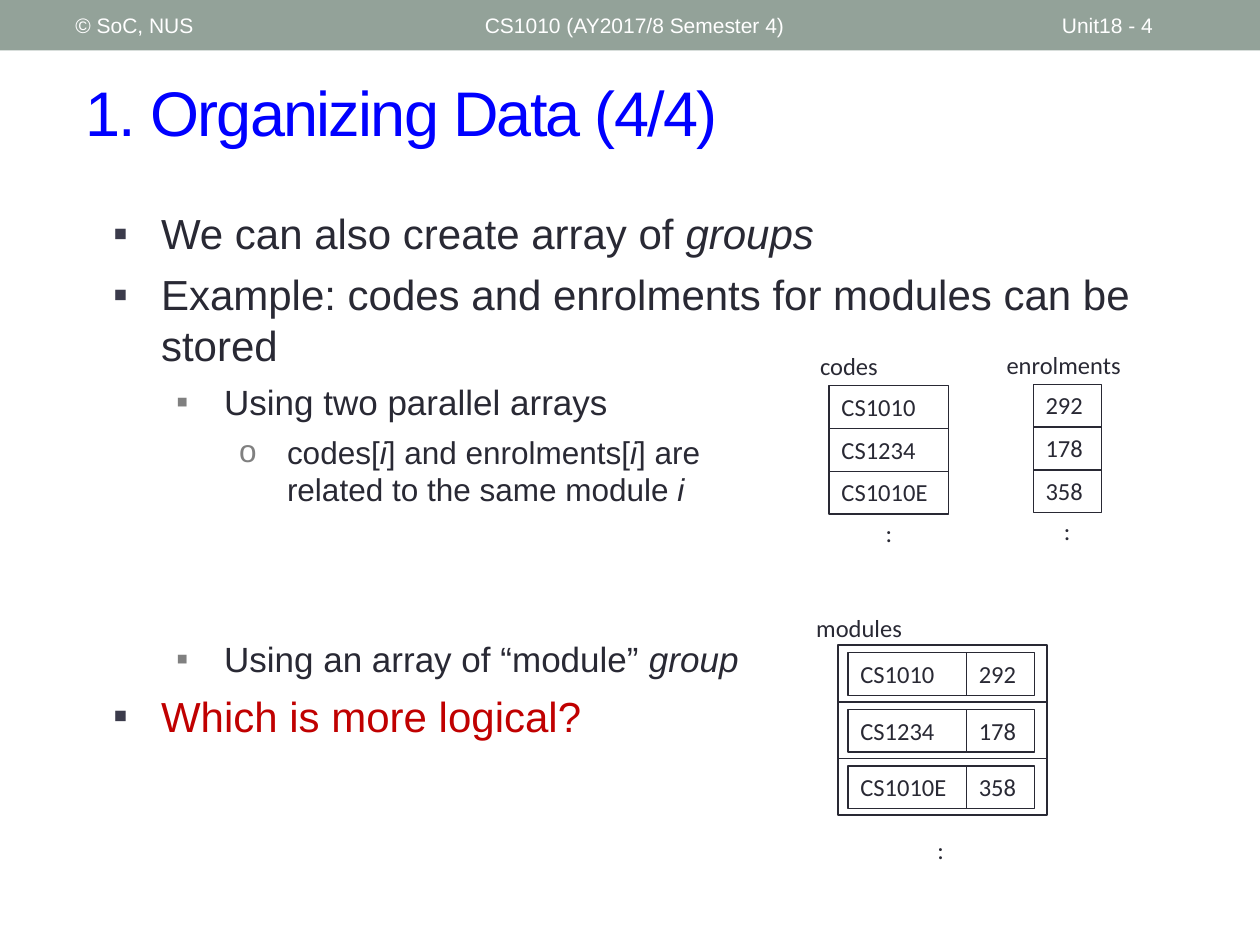
from lxml import etree
from pptx import Presentation
from pptx.dml.color import RGBColor
from pptx.enum.shapes import MSO_SHAPE
from pptx.enum.text import MSO_ANCHOR, PP_ALIGN
from pptx.oxml.ns import qn
from pptx.util import Inches, Pt

RECT = MSO_SHAPE.RECTANGLE
TOP, MIDDLE = MSO_ANCHOR.TOP, MSO_ANCHOR.MIDDLE
LEFT, CENTER = PP_ALIGN.LEFT, PP_ALIGN.CENTER
INK, BLUE, RED, SAGE, WHITE = "292934", "0000FF", "C00000", "93A299", "FFFFFF"
WIDE, HIGH = 10, 7.5
ROW = 0.34
CODES = ["CS1010", "CS1234", "CS1010E"]
COUNTS = ["292", "178", "358"]
MARKS = [("▪", "3B3B4B"), ("▪", "808080"), ("o", "808080")]
SIZES = [24, 20, 18]
POINTS = [
    (0, "We can also create array of *groups*", INK, 0),
    (0, "Example: codes and enrolments for modules can be stored", INK, 6),
    (1, "Using two parallel arrays", INK, 6),
    (2, "codes[*i*] and enrolments[*i*] are\vrelated to the same module *i*", INK, 6),
    (1, "Using an array of “module” *group*", INK, 74),
    (0, "Which is more logical?", RED, 6),
]


def color(code):
    """Turn a hex string into a colour."""
    return RGBColor.from_string(code)


def write(para, text, size=14, font="Calibri", ink=INK, align=LEFT, track=0):
    """Fill a paragraph, with text between asterisks in italics."""
    para.alignment = align
    for k, part in enumerate(text.split("*")):
        for n, piece in enumerate(part.split("\v")):
            if n:
                para.add_line_break()
            if not piece:
                continue
            run = para.add_run()
            run.text = piece
            run.font.size, run.font.name = Pt(size), font
            run.font.italic = k % 2 == 1
            run.font.color.rgb = color(ink)
            if track:
                run.font._element.set("spc", str(track * 100))


def label(shapes, box, text, anchor=TOP, **form):
    """Add a text box with one paragraph."""
    frame = shapes.add_textbox(*map(Inches, box)).text_frame
    frame.word_wrap, frame.vertical_anchor = True, anchor
    write(frame.paragraphs[0], text, **form)


def cell(shapes, box, text="", line=0.75):
    """Add an outlined box, with or without text."""
    shape = shapes.add_shape(RECT, *map(Inches, box))
    shape.shadow.inherit = False
    shape.fill.background()
    shape.line.color.rgb, shape.line.width = color(INK), Pt(line)
    frame = shape.text_frame
    frame.word_wrap, frame.vertical_anchor = True, TOP
    if text:
        write(frame.paragraphs[0], text)


def header(shapes, box):
    """Draw the top band and its three texts."""
    left, top, width, height = box
    band = shapes.add_shape(RECT, *map(Inches, box))
    band.shadow.inherit = False
    band.fill.solid()
    band.fill.fore_color.rgb = color(SAGE)
    band.line.fill.background()
    for text, start, span in [
        ("© SoC, NUS", 0.05, 0.32),
        ("CS1010 (AY2017/8 Semester 4)", 0.375, 0.45),
        ("Unit18 - 4", 0.833, 0.117),
    ]:
        place = (left + start * width, top + 0.05 * height, span * width, 0.9 * height)
        label(shapes, place, text, anchor=MIDDLE, size=12, font="Arial", ink=WHITE)


def bullet(para, level):
    """Give a paragraph the mark and indent of its level."""
    mark, ink = MARKS[level]
    props = para._p.get_or_add_pPr()
    props.set("marL", str(Inches(0.38 + 0.5 * level)))
    props.set("indent", str(Inches(-0.38)))
    tint = etree.SubElement(props, qn("a:buClr"))
    etree.SubElement(tint, qn("a:srgbClr"), val=ink)
    etree.SubElement(props, qn("a:buFont"), typeface="Arial")
    etree.SubElement(props, qn("a:buChar"), char=mark)


def body(shapes, box):
    """Write the bulleted points."""
    frame = shapes.add_textbox(*map(Inches, box)).text_frame
    frame.word_wrap = True
    for k, (level, text, ink, gap) in enumerate(POINTS):
        para = frame.add_paragraph() if k else frame.paragraphs[0]
        para.level = level
        bullet(para, level)
        para.space_before = Pt(gap)
        write(para, text, size=SIZES[level], font="Arial", ink=ink)


def array(shapes, box, name, items, shift, span):
    """Draw a named column of cells with a colon below."""
    left, top, width, height = box
    parts = shapes.add_group_shape().shapes
    label(parts, (left - shift, top - 0.32, span, ROW), name)
    for k, item in enumerate(items):
        cell(parts, (left, top + k * height, width, height), item)
    label(parts, (left, top + 3 * height - 0.02, width, ROW), ":", align=CENTER)


def modules(shapes, box):
    """Draw the array of code and enrolment pairs."""
    left, top, width, height = box
    parts = shapes.add_group_shape().shapes
    label(parts, (left - 0.27, top - 0.3, 1.23, ROW), "modules")
    for k, (code, count) in enumerate(zip(CODES, COUNTS)):
        y = top + k * height
        cell(parts, (left + 0.08, y + 0.06, 0.94, ROW), code)
        cell(parts, (left + 1.02, y + 0.06, 0.54, ROW), count)
        cell(parts, (left, y, width, height), line=1)
    label(parts, (left + 0.08, top + 1.46, 1.47, ROW), ":", align=CENTER)


def main():
    """Build and save the slide."""
    deck = Presentation()
    deck.slide_width, deck.slide_height = Inches(WIDE), Inches(HIGH)
    shapes = deck.slides.add_slide(deck.slide_layouts[6]).shapes
    header(shapes, (0, 0, WIDE, 0.4))
    label(shapes, (0.58, 0.42, 9.17, 0.92), "1. Organizing Data (4/4)",
          anchor=MIDDLE, size=36, font="Arial", ink=BLUE, track=-1)
    body(shapes, (0.8, 1.6, 8.57, 5.13))
    array(shapes, (6.58, 3.06, 0.95, ROW), "codes", CODES, 0.17, 0.79)
    array(shapes, (8.2, 3.05, 0.54, ROW), "enrolments", COUNTS, 0.31, 1.15)
    modules(shapes, (6.65, 5.12, 1.66, 0.45))
    deck.save("out.pptx")


if __name__ == "__main__":
    main()
